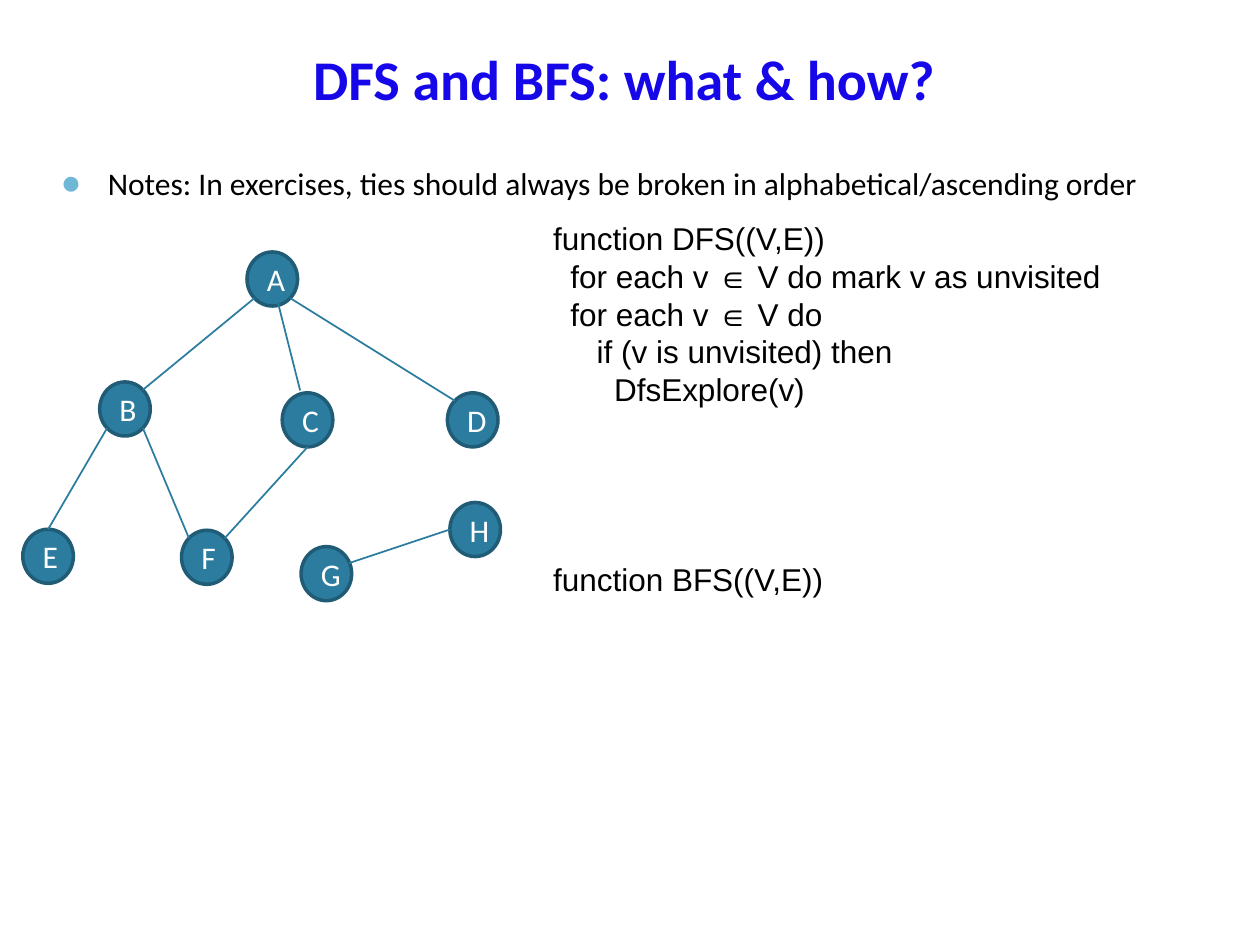
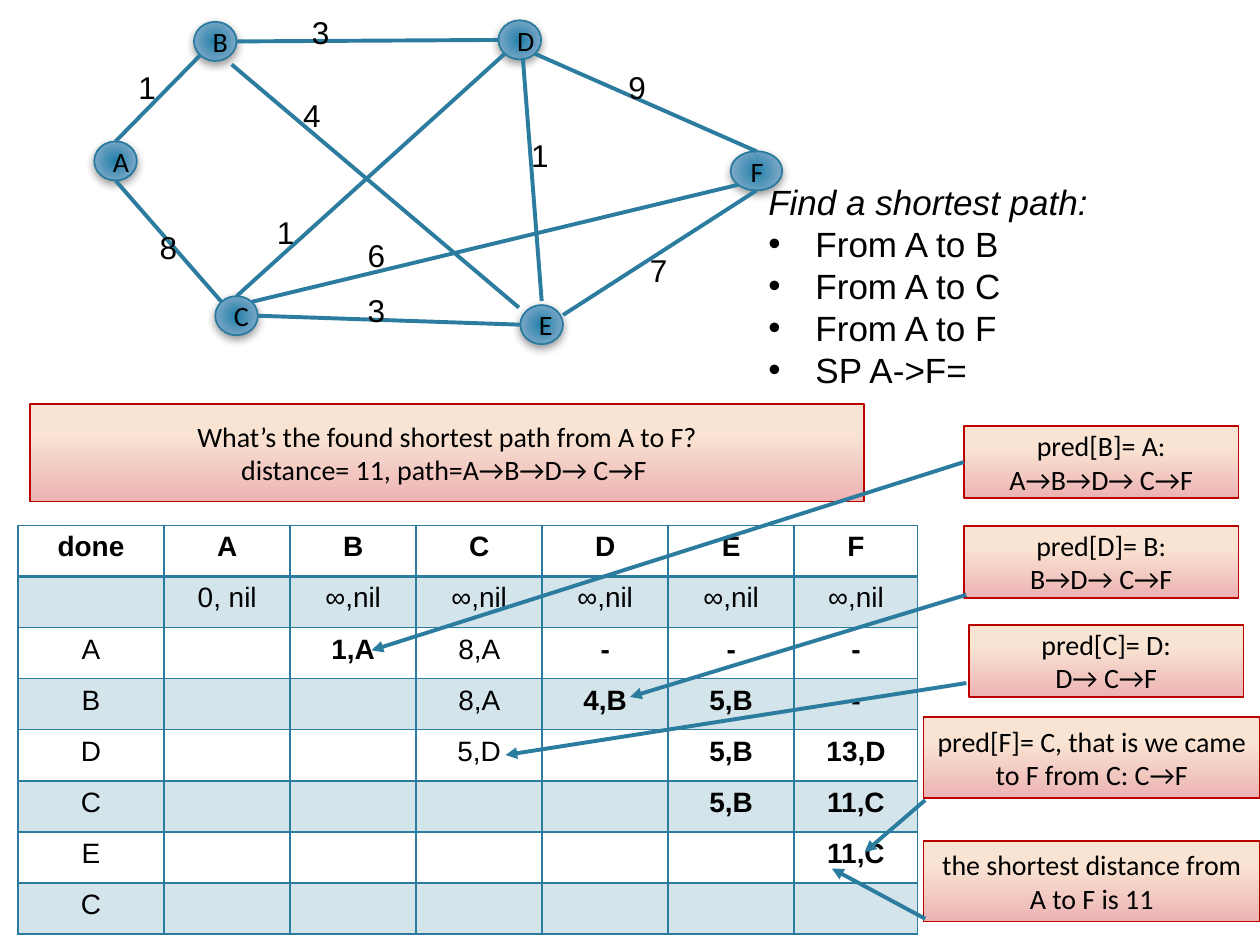
from math import cos, radians, sin

from lxml.etree import SubElement, fromstring
from pptx import Presentation
from pptx.dml.color import RGBColor
from pptx.enum.shapes import MSO_CONNECTOR as CONN, MSO_SHAPE as SHAPE
from pptx.enum.text import MSO_ANCHOR as ANCHOR, MSO_AUTO_SIZE as AUTO, PP_ALIGN as ALIGN
from pptx.oxml.ns import nsdecls, qn
from pptx.util import Cm, Pt

TEAL, DARK_TEAL, NODE_EDGE = "2C7C9F", "215C76", "287A9E"
TITLE_BLUE, BULLET_BLUE = "1507E7", "6FB7D7"
CALLOUT_RED, BLACK, WHITE = "BC0000", "000000", "FFFFFF"
CALLOUT_STOPS = [(31, "F9E3D2"), (100, "ECB3B3")]
NODE_STOPS = [(0, "2180AA"), (69, "75A5C5"), (100, "B8CCDC")]
DOWNWARD = '<a:lin ang="5400000" scaled="0"/>'
RADIAL = ('<a:path path="circle"><a:fillToRect l="100000" t="100000" '
          'r="100000" b="100000"/></a:path>')

# Angle of each compass point on a node, clockwise from east
COMPASS = dict(e=0, se=45, s=90, sw=135, w=180, nw=225, n=270, ne=315)

# Nodes: left and top within the graph. Edge ends: node and compass point, or a point.
TREE_NODES = {"A": (4.52, 0), "B": (1.55, 2.62), "C": (5.23, 2.84), "D": (8.56, 2.84),
              "E": (0, 5.59), "F": (3.2, 5.61), "G": (5.61, 5.94), "H": (8.61, 5.05)}
TREE_EDGES = [((5.11, 0.89), (5.59, 2.79)), ("D nw", "A se"), ("A sw", "B ne"),
              ("B sw", "E n"), ("C s", "F ne"), ("B se", "F nw"), ("H w", (6.58, 6.27))]

PATH_NODES = {"A": (0, 2.44), "B": (2.01, 0.03), "C": (2.44, 5.56),
              "D": (8.15, 0), "E": (8.59, 5.74), "F": (12.83, 2.64)}
PATH_EDGES = [("B e", "D w"), ((2.77, 0.89), (8.56, 5.79)), ("B sw", "A n"),
              ("A s", "C nw"), ("D se", "F n"), ("C n", "D sw"), ("C e", "E w"),
              ("F sw", "C ne"), ("F s", (9.45, 5.94)), ((8.64, 0.76), (9.02, 5.66))]
WEIGHTS = [("3", 4.14, -0.28), ("9", 10.52, 0.84), ("1", 0.64, 0.84), ("6", 5.26, 4.22),
           ("8", 1.07, 4.06), ("4", 3.96, 1.4), ("7", 10.95, 4.52), ("1", 3.43, 3.76),
           ("1", 8.56, 2.21), ("3", 5.26, 5.33)]

INF = "∞,nil"
DISTANCES = [
    ["done", "A", "B", "C", "D", "E", "F"],
    ["", "0, nil", INF, INF, INF, INF, INF],
    ["A", "", "1,A", "8,A", "-", "-", "-"],
    ["B", "", "", "8,A", "4,B", "5,B", "-"],
    ["D", "", "", "5,D", "", "5,B", "13,D"],
    ["C", "", "", "", "", "5,B", "11,C"],
    ["E", "", "", "", "", "", "11,C"],
    ["C", "", "", "", "", "", ""],
]
BOLD_CELLS = {"1,A", "-", "4,B", "5,B", "13,D", "11,C"}

SMALL, LARGE = (5.54, 1.45), (6.78, 1.63)
# Callouts: lines, left and top, size, arrow start (None: middle of left side), arrow end
CALLOUTS = [
    (["pred[B]= A:", "A→B→D→ C→F"], (0.81, 0), SMALL, None, (-11.13, 4.52)),
    (["pred[D]= B:", "B→D→ C→F"], (0.81, 2.01), SMALL, (0.86, 3.4), (-5.92, 5.46)),
    (["pred[C]= D:", "D→ C→F"], (0.91, 4.01), SMALL, (0.86, 5.18), (-8.43, 6.63)),
    (["pred[F]= C, that is we came to F from C: C→F"],
     (0, 5.87), LARGE, (0.03, 7.54), (-1.19, 8.59)),
    (["the shortest distance from A to F is 11"],
     (0, 8.36), LARGE, (0.03, 9.93), (-1.85, 8.92)),
]


def rgb(value):
    return RGBColor.from_string(value)


def put_text(tf, lines, **fmt):
    """Fill a text frame; a line is a string or (string, its own format)."""
    for i, line in enumerate(lines):
        text, own = (line, {}) if isinstance(line, str) else line
        f = {**fmt, **own}
        p = tf.paragraphs[0] if i == 0 else tf.add_paragraph()
        p.alignment = f.get("align", ALIGN.LEFT)
        if "before" in f:
            p.space_before = Pt(f["before"])
        pPr = p._p.get_or_add_pPr()
        if "indent" in f:
            pPr.set("marL", str(Cm(f["indent"])))
            pPr.set("indent", "0")
        if "bullet" in f:
            pPr.set("marL", str(Cm(0.95)))
            pPr.set("indent", str(-Cm(0.95)))
            if "bullet_color" in f:
                clr = SubElement(pPr, qn("a:buClr"))
                SubElement(clr, qn("a:srgbClr"), val=f["bullet_color"])
                SubElement(pPr, qn("a:buSzPct"), val="110000")
            SubElement(pPr, qn("a:buFont"), typeface="Arial")
            SubElement(pPr, qn("a:buChar"), char=f["bullet"])
        r = p.add_run()
        r.text = text
        r.font.name = f.get("font", "Arial")
        r.font.size = Pt(f.get("size", 18))
        r.font.bold = f.get("bold", False)
        r.font.italic = f.get("italic", False)
        r.font.color.rgb = rgb(f.get("color", BLACK))


def place(shape, x, y, w, h):
    shape.left, shape.top, shape.width, shape.height = Cm(x), Cm(y), Cm(w), Cm(h)


def add_text(s, box, lines, wrap=True, **fmt):
    tf = s.shapes.add_textbox(*map(Cm, box)).text_frame
    tf.word_wrap = wrap
    put_text(tf, lines, **fmt)


def set_gradient(shape, stops, direction):
    gs = "".join(f'<a:gs pos="{pos * 1000}"><a:srgbClr val="{c}"/></a:gs>'
                 for pos, c in stops)
    grad = fromstring(f'<a:gradFill {nsdecls("a")} rotWithShape="1">'
                      f'<a:gsLst>{gs}</a:gsLst>{direction}</a:gradFill>')
    shape._element.spPr.find(qn("a:prstGeom")).addnext(grad)


def add_shadow(shape):
    effects = shape._element.spPr.find(qn("a:effectLst"))
    shadow = SubElement(effects, qn("a:outerShdw"), blurRad=str(Pt(5)), dist=str(Pt(2)),
                        dir="5400000", rotWithShape="0")
    clr = SubElement(shadow, qn("a:srgbClr"), val=BLACK)
    SubElement(clr, qn("a:alpha"), val="40000")


def add_shape(s, kind, box, line, width, fill=None):
    sp = s.shapes.add_shape(kind, *map(Cm, box))
    sp.shadow.inherit = False
    if fill:
        sp.fill.solid()
        sp.fill.fore_color.rgb = rgb(fill)
    sp.line.color.rgb = rgb(line)
    sp.line.width = Pt(width)
    return sp


def add_line(s, start, end, width, arrow=False):
    cn = s.shapes.add_connector(CONN.STRAIGHT, *map(Cm, (*start, *end)))
    cn.line.color.rgb = rgb(TEAL)
    cn.line.width = Pt(width)
    if arrow:
        SubElement(cn.line._get_or_add_ln(), qn("a:tailEnd"), type="triangle")
    SubElement(cn._element.spPr, qn("a:effectLst"))
    return cn


def draw_graph(s, x, y, nodes, edges, size, line_width, add_node, wide=None):
    """Draw nodes and edges from the corner x, y; wide gives some nodes another width."""
    boxes = {name: (x + nx, y + ny, (wide or {}).get(name, size[0]), size[1])
             for name, (nx, ny) in nodes.items()}

    def point(end):
        if not isinstance(end, str):
            return x + end[0], y + end[1]
        name, side = end.split()
        left, top, w, h = boxes[name]
        a = radians(COMPASS[side])
        return left + w / 2 * (1 + cos(a)), top + h / 2 * (1 + sin(a))

    for name, box in boxes.items():
        add_node(s, name, box)
    for start, end in edges:
        add_line(s, point(start), point(end), line_width)


def tree_node(s, name, box):
    sp = add_shape(s, SHAPE.OVAL, box, DARK_TEAL, 2, TEAL)
    put_text(sp.text_frame, [name], font="Calibri", color=WHITE, align=ALIGN.CENTER)


def path_node(s, name, box):
    sp = add_shape(s, SHAPE.OVAL, box, NODE_EDGE, 1)
    set_gradient(sp, NODE_STOPS, RADIAL)
    add_shadow(sp)
    put_text(sp.text_frame, [name], font="Calibri", size=16, align=ALIGN.CENTER)


def add_callout(s, box, lines):
    sp = add_shape(s, SHAPE.RECTANGLE, box, CALLOUT_RED, 1)
    set_gradient(sp, CALLOUT_STOPS, DOWNWARD)
    put_text(sp.text_frame, lines, font="Calibri", size=16, align=ALIGN.CENTER)
    return sp


def draw_callouts(s, x, y):
    for lines, (cx, cy), size, start, end in CALLOUTS:
        sp = add_callout(s, (x + cx, y + cy, *size), lines)
        begin = start or (cx, cy + size[1] / 2)
        cn = add_line(s, (x + begin[0], y + begin[1]), (x + end[0], y + end[1]), 2.25, True)
        if start is None:
            cn.begin_connect(sp, 1)


def set_borders(cell, bottom):
    tcPr = cell._tc.get_or_add_tcPr()
    for i, side in enumerate(("lnL", "lnR", "lnT", "lnB")):
        width = bottom if side == "lnB" else 1
        tcPr.insert(i, fromstring(
            f'<a:{side} {nsdecls("a")} w="{Pt(width)}"><a:solidFill>'
            f'<a:srgbClr val="{TEAL}"/></a:solidFill></a:{side}>'))


def draw_distances(s, x, y):
    widths, row_h = [2.95] + [2.54] * 5 + [2.49], 1.03
    n = len(DISTANCES)
    table = s.shapes.add_table(n, len(widths), Cm(x), Cm(y),
                               Cm(sum(widths)), Cm(n * row_h)).table
    table.first_row = table.horz_banding = False
    for col, w in zip(table.columns, widths):
        col.width = Cm(w)
    for i, values in enumerate(DISTANCES):
        table.rows[i].height = Cm(row_h)
        for j, text in enumerate(values):
            cell = table.cell(i, j)
            if i % 2:
                cell.fill.solid()
                cell.fill.fore_color.rgb = rgb(TEAL)
                clr = cell._tc.tcPr.find(".//" + qn("a:srgbClr"))
                SubElement(clr, qn("a:alpha"), val="20000")
            else:
                cell.fill.background()
            set_borders(cell, 2 if i == 0 else 1)
            if text:
                put_text(cell.text_frame, [text], size=16, align=ALIGN.CENTER,
                         bold=i == 0 or text in BOLD_CELLS)


def traversal_slide(prs):
    s = prs.slides.add_slide(prs.slide_layouts[1])
    # Title and note
    title, body = s.placeholders
    place(title, 0.74, 0.3, 23.95, 2.57)
    place(body, 0.97, 3.18, 23.62, 13.84)
    for ph in (title, body):
        ph.text_frame.auto_size = AUTO.NONE
    title.text_frame.vertical_anchor = ANCHOR.MIDDLE
    put_text(title.text_frame, ["DFS and BFS: what & how? "], font="Calibri", size=32,
             bold=True, color=TITLE_BLUE, align=ALIGN.CENTER)
    put_text(body.text_frame, ["Notes: In exercises, ties should always be broken in "
                               "alphabetical/ascending order"],
             font="Calibri", bullet="●", bullet_color=BULLET_BLUE)
    # Graph and pseudocode
    draw_graph(s, 0.46, 5.08, TREE_NODES, TREE_EDGES, (1.02, 1.09), 1, tree_node)
    add_text(s, (10.9, 4.29, 12.5, 11.79), [
        "function DFS((V,E))",
        ("for each v ∈ V do mark v as unvisited", dict(indent=0.35)),
        ("for each v ∈ V do", dict(indent=0.35)),
        ("if (v is unvisited) then", dict(indent=0.88)),
        ("DfsExplore(v)", dict(indent=1.23)),
        ("function BFS((V,E))", dict(before=87)),
    ])


def shortest_path_slide(prs):
    s = prs.slides.add_slide(prs.slide_layouts[6])
    # Weighted graph
    x, y = 1.9, 0.41
    draw_graph(s, x, y, PATH_NODES, PATH_EDGES, (0.86, 0.79), 2.25, path_node, {"F": 1.04})
    for weight, wx, wy in WEIGHTS:
        add_text(s, (x + wx, y + wy, 0.86, 1.02), [weight], wrap=False)
    # Distances and task
    draw_distances(s, 0.36, 10.59)
    goals = ["From A to B", "From A to C", "From A to F", "SP A->F="]
    add_text(s, (15.24, 3.51, 9.75, 4.52),
             [("Find a shortest path:", dict(italic=True))]
             + [(goal, dict(bullet="•")) for goal in goals], size=20)
    # Answer and callouts
    add_callout(s, (0.61, 8.15, 16.81, 1.96),
                ["What’s the found shortest path from A to F?",
                 "distance= 11, path=A→B→D→ C→F "])
    draw_callouts(s, 18.62, 8.59)


def main():
    prs = Presentation()
    prs.slide_width, prs.slide_height = Cm(25.4), Cm(19.05)
    traversal_slide(prs)
    shortest_path_slide(prs)
    prs.save("out.pptx")


if __name__ == "__main__":
    main()
